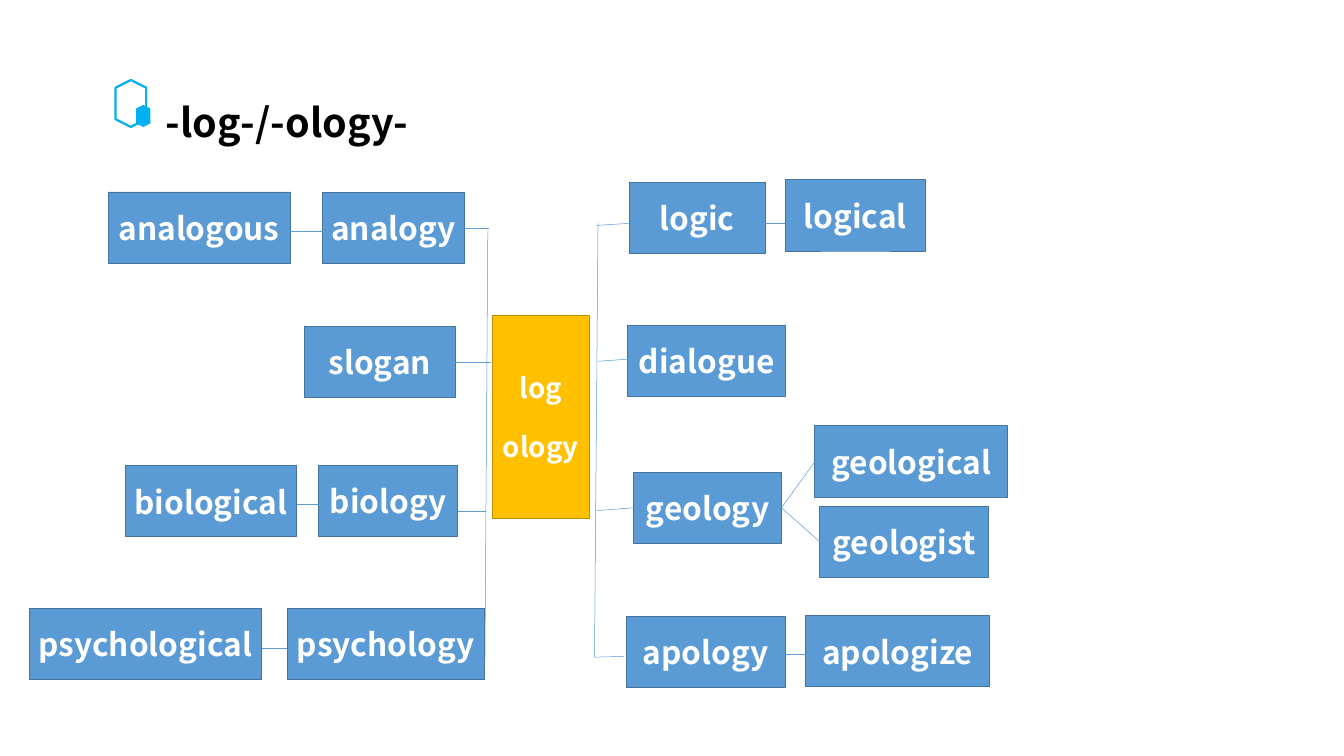
from lxml import etree
from pptx import Presentation
from pptx.dml.color import RGBColor
from pptx.enum.shapes import MSO_CONNECTOR, MSO_SHAPE
from pptx.enum.text import MSO_ANCHOR, MSO_AUTO_SIZE, PP_ALIGN
from pptx.oxml.ns import qn
from pptx.util import Inches, Pt

STRAIGHT = MSO_CONNECTOR.STRAIGHT
RECTANGLE, HEXAGON = MSO_SHAPE.RECTANGLE, MSO_SHAPE.HEXAGON
MIDDLE = MSO_ANCHOR.MIDDLE
NO_AUTOFIT = MSO_AUTO_SIZE.NONE
LEFT, CENTER = PP_ALIGN.LEFT, PP_ALIGN.CENTER
LEFT_SIDE, RIGHT_SIDE = 1, 3


def color(hex_code):
    return RGBColor.from_string(hex_code)


class WordMap:
    font_name = "Noto Sans CJK SC"
    blue, blue_edge = "5B9BD5", "43739E"
    gold, gold_edge = "FFC000", "BD8E00"
    accent, white, black = "00B0F0", "FFFFFF", "000000"

    def __init__(self, slide):
        self.slide = slide

    def style_text(self, paragraph, size, hex_code, align):
        paragraph.alignment = align
        font = paragraph.font
        font.name, font.size, font.bold = self.font_name, Pt(size), True
        font.color.rgb = color(hex_code)

    def title(self, text, left, top, width, height):
        heading = self.slide.shapes.title
        heading.left, heading.top = Inches(left), Inches(top)
        heading.width, heading.height = Inches(width), Inches(height)
        frame = heading.text_frame
        frame.text = text
        frame.word_wrap = False
        frame.auto_size = NO_AUTOFIT
        frame.vertical_anchor = MIDDLE
        self.style_text(frame.paragraphs[0], 40, self.black, LEFT)

    def shape(self, kind, left, top, width, height, fill=None, edge=None, weight=1.0):
        shape = self.slide.shapes.add_shape(
            kind, Inches(left), Inches(top), Inches(width), Inches(height))
        shape.shadow.inherit = False
        if fill:
            shape.fill.solid()
            shape.fill.fore_color.rgb = color(fill)
        else:
            shape.fill.background()
        if edge:
            shape.line.color.rgb = color(edge)
            shape.line.width = Pt(weight)
        else:
            shape.line.fill.background()
        return shape

    def hexagon(self, left, top, width, height, **look):
        self.shape(HEXAGON, left, top, width, height, **look).rotation = 90

    def box(self, text, left, top, width, height=1.0, size=32,
            fill=blue, edge=blue_edge, gap=0):
        box = self.shape(RECTANGLE, left, top, width, height, fill, edge)
        frame = box.text_frame
        frame.text = text
        frame.vertical_anchor = MIDDLE
        for index, paragraph in enumerate(frame.paragraphs):
            if index:
                paragraph.space_before = Pt(gap)
            self.style_text(paragraph, size, self.white, CENTER)
        return box

    def line(self, x1, y1, x2, y2, start=None, end=None):
        """start joins a box's right side, end joins a box's left side."""
        line = self.slide.shapes.add_connector(
            STRAIGHT, Inches(x1), Inches(y1), Inches(x2), Inches(y2))
        line.line.color.rgb = color(self.blue)
        line.line.width = Pt(0.5)
        etree.SubElement(line._element.spPr, qn("a:effectLst"))
        if start:
            line.begin_connect(start, RIGHT_SIDE)
        if end:
            line.end_connect(end, LEFT_SIDE)


def main():
    presentation = Presentation()
    presentation.slide_width = Inches(18.9)
    presentation.slide_height = Inches(10.63)
    word_map = WordMap(presentation.slides.add_slide(presentation.slide_layouts[5]))

    # Heading with its hexagon mark
    word_map.title("-log-/-ology-", 2.23, 1.32, 3.96, 0.77)
    word_map.hexagon(1.51, 1.24, 0.66, 0.43, edge=word_map.accent, weight=2.25)
    word_map.hexagon(1.86, 1.53, 0.31, 0.2, fill=word_map.accent)

    # Root in the centre
    word_map.box("log\nology", 6.92, 4.43, 1.37, 2.86, size=28,
                 fill=word_map.gold, edge=word_map.gold_edge, gap=26)

    # Words: text, left, top, width
    words = [
        ("analogy", 4.54, 2.71, 1.99), ("analogous", 1.52, 2.7, 2.56),
        ("slogan", 4.28, 4.59, 2.12),
        ("biology", 4.48, 6.54, 1.96), ("biological", 1.76, 6.55, 2.41),
        ("psychology", 4.04, 8.56, 2.77), ("psychological", 0.41, 8.55, 3.27),
        ("logic", 8.85, 2.56, 1.91), ("logical", 11.04, 2.53, 1.97),
        ("dialogue", 8.83, 4.58, 2.22),
        ("geology", 8.91, 6.64, 2.08),
        ("geological", 11.46, 5.98, 2.71, 1.02), ("geologist", 11.53, 7.12, 2.37),
        ("apology", 8.81, 8.67, 2.23), ("apologize", 11.33, 8.66, 2.59),
    ]
    boxes = {word[0]: word_map.box(*word) for word in words}

    # Trunks beside the root
    word_map.line(6.86, 3.24, 6.82, 9.33)
    word_map.line(8.41, 3.14, 8.36, 9.24)

    # Branches from the trunks to the words
    word_map.line(6.53, 3.21, 6.87, 3.21, start=boxes["analogy"])
    word_map.line(6.4, 5.09, 6.9, 5.09, start=boxes["slogan"])
    word_map.line(6.44, 7.19, 6.84, 7.19)
    word_map.line(8.39, 3.17, 8.85, 3.14)
    word_map.line(8.41, 5.08, 8.83, 5.05)
    word_map.line(8.39, 7.18, 8.91, 7.14, end=boxes["geology"])
    word_map.line(8.36, 9.24, 8.77, 9.23)

    # Links between related words
    for x1, x2, y in [(4.08, 4.54, 3.25), (4.17, 4.48, 7.09), (3.68, 4.04, 9.11),
                      (10.76, 11.04, 3.14), (11.04, 11.33, 9.2)]:
        word_map.line(x1, y, x2, y)
    word_map.line(10.99, 7.14, 11.46, 6.49, boxes["geology"], boxes["geological"])
    word_map.line(10.99, 7.14, 11.53, 7.62, boxes["geology"], boxes["geologist"])

    presentation.save("out.pptx")


if __name__ == "__main__":
    main()
